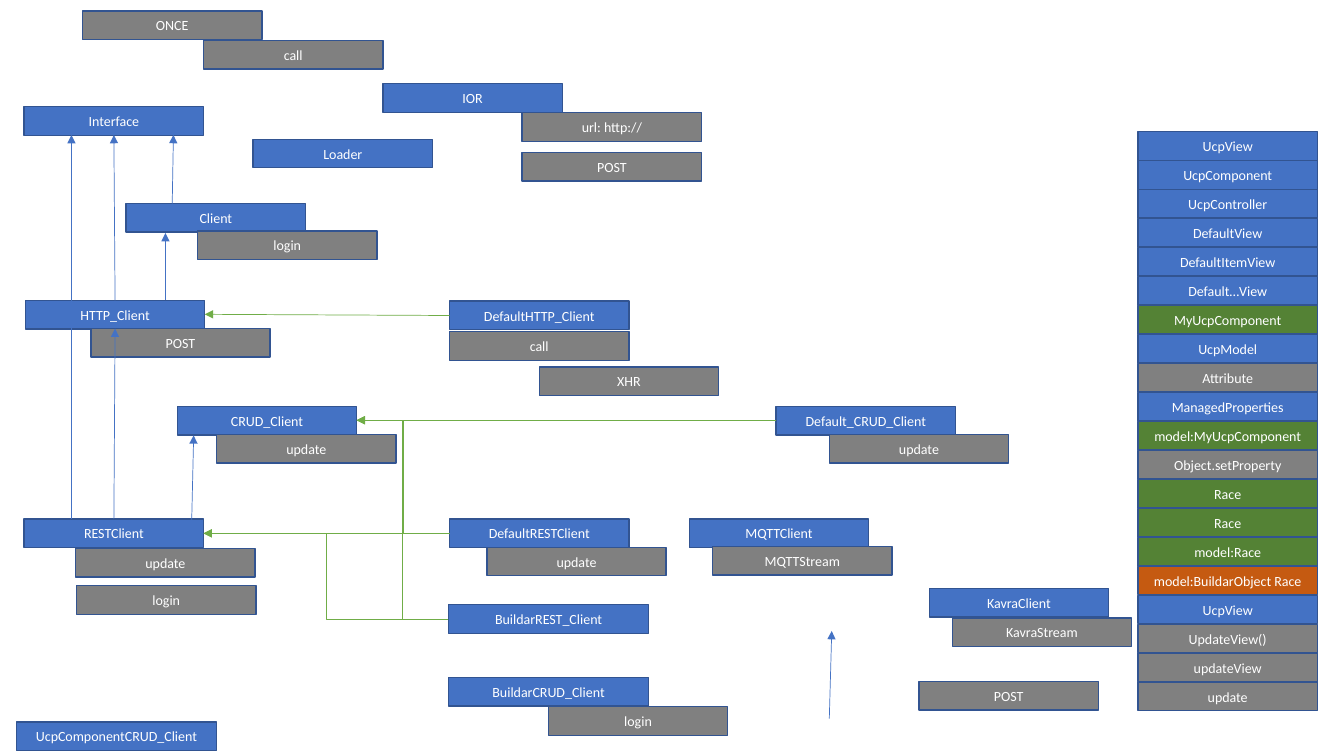
"""Build the class map of clients, their methods and the view component stack."""
from typing import NamedTuple

from lxml.etree import SubElement
from pptx import Presentation
from pptx.dml.color import RGBColor
from pptx.enum.shapes import MSO_CONNECTOR, MSO_SHAPE
from pptx.enum.text import MSO_ANCHOR, PP_ALIGN
from pptx.oxml.ns import qn
from pptx.util import Cm, Pt

BLUE = RGBColor(0x44, 0x72, 0xC4)
GRAY = RGBColor(0x80, 0x80, 0x80)
DARK_GREEN = RGBColor(0x54, 0x82, 0x35)
ORANGE = RGBColor(0xC5, 0x5A, 0x11)
GREEN = RGBColor(0x70, 0xAD, 0x47)
BORDER = RGBColor(0x32, 0x54, 0x91)
WHITE = RGBColor(0xFF, 0xFF, 0xFF)

BOX_W, WIDE_W, BOX_H = 4.52, 5.05, 0.72
STACK_X, STACK_Y, STACK_STEP = 28.68, 3.32, 0.73


class Box(NamedTuple):
    text: str
    x: float
    y: float
    fill: RGBColor = BLUE
    w: float = BOX_W


class Arrow(NamedTuple):
    x1: float
    y1: float
    x2: float
    y2: float
    color: RGBColor = BLUE
    kind: MSO_CONNECTOR = MSO_CONNECTOR.STRAIGHT


STACK = [
    ("UcpView", BLUE),
    ("UcpComponent", BLUE),
    ("UcpController", BLUE),
    ("DefaultView", BLUE),
    ("DefaultItemView", BLUE),
    ("Default…View", BLUE),
    ("MyUcpComponent", DARK_GREEN),
    ("UcpModel", BLUE),
    ("Attribute", GRAY),
    ("ManagedProperties", BLUE),
    ("model:MyUcpComponent", DARK_GREEN),
    ("Object.setProperty", GRAY),
    ("Race", DARK_GREEN),
    ("Race", DARK_GREEN),
    ("model:Race", DARK_GREEN),
    ("model:BuildarObject Race", ORANGE),
    ("UcpView", BLUE),
    ("UpdateView()", GRAY),
    ("updateView", GRAY),
    ("update", GRAY),
]

CLASSES = [
    Box("IOR", 9.65, 2.11),
    Box("Loader", 6.38, 3.51),
    Box("Interface", 0.61, 2.69),
    Box("Client", 3.18, 5.13),
    Box("HTTP_Client", 0.64, 7.57),
    Box("DefaultHTTP_Client", 11.33, 7.59),
    Box("CRUD_Client", 4.47, 10.24),
    Box("Default_CRUD_Client", 19.56, 10.24),
    Box("RESTClient", 0.61, 13.08),
    Box("DefaultRESTClient", 11.33, 13.08),
    Box("MQTTClient", 17.37, 13.08),
    Box("KavraClient", 23.42, 14.83),
    Box("BuildarREST_Client", 11.3, 15.24, w=WIDE_W),
    Box("BuildarCRUD_Client", 11.3, 17.07, w=WIDE_W),
    Box("UcpComponentCRUD_Client", 0.41, 18.19, w=WIDE_W),
]

MEMBERS = [
    Box("ONCE", 2.08, 0.28, GRAY),
    Box("call", 5.13, 1.02, GRAY),
    Box("url: http://", 13.16, 2.84, GRAY),
    Box("POST", 13.16, 3.84, GRAY),
    Box("login", 4.98, 5.82, GRAY),
    Box("POST", 2.29, 8.28, GRAY),
    Box("call", 11.33, 8.36, GRAY),
    Box("XHR", 13.59, 9.25, GRAY),
    Box("update", 5.46, 10.95, GRAY),
    Box("update", 20.9, 10.95, GRAY),
    Box("update", 1.91, 13.82, GRAY),
    Box("login", 1.93, 14.76, GRAY),
    Box("update", 12.27, 13.79, GRAY),
    Box("MQTTStream", 17.96, 13.77, GRAY),
    Box("KavraStream", 24.0, 15.57, GRAY),
    Box("POST", 23.16, 17.17, GRAY),
    Box("login", 13.82, 17.81, GRAY),
]

ARROWS = [
    Arrow(1.8, 13.08, 1.8, 3.4),
    Arrow(2.9, 7.57, 2.87, 3.4),
    Arrow(2.87, 13.08, 2.9, 8.28),
    Arrow(4.34, 5.13, 4.37, 3.4),
    Arrow(4.17, 7.57, 4.17, 5.87),
    Arrow(4.83, 13.16, 4.88, 10.97),
    Arrow(20.9, 18.11, 20.96, 15.9),
    Arrow(11.33, 7.95, 5.16, 7.92, GREEN),
    Arrow(19.56, 10.59, 8.99, 10.59, GREEN),
    Arrow(11.33, 13.44, 5.13, 13.44, GREEN),
    Arrow(11.3, 15.6, 5.13, 13.44, GREEN, MSO_CONNECTOR.ELBOW),
    Arrow(11.3, 15.6, 8.99, 10.59, GREEN, MSO_CONNECTOR.ELBOW),
    Arrow(11.33, 13.44, 8.99, 10.59, GREEN, MSO_CONNECTOR.ELBOW),
]


def draw_box(shapes, box: Box) -> None:
    sp = shapes.add_shape(MSO_SHAPE.RECTANGLE, Cm(box.x), Cm(box.y), Cm(box.w), Cm(BOX_H))
    sp.shadow.inherit = False
    sp.fill.solid()
    sp.fill.fore_color.rgb = box.fill
    sp.line.color.rgb = BORDER
    sp.line.width = Pt(1)
    tf = sp.text_frame
    tf.word_wrap = True
    tf.vertical_anchor = MSO_ANCHOR.MIDDLE
    p = tf.paragraphs[0]
    p.alignment = PP_ALIGN.CENTER
    r = p.add_run()
    r.text = box.text
    r.font.name = "Calibri"
    r.font.size = Pt(10)
    r.font.color.rgb = WHITE


def draw_arrow(shapes, arrow: Arrow) -> None:
    cxn = shapes.add_connector(
        arrow.kind, Cm(arrow.x1), Cm(arrow.y1), Cm(arrow.x2), Cm(arrow.y2)
    )
    cxn.line.color.rgb = arrow.color
    cxn.line.width = Pt(0.5)
    sp_pr = cxn._element.spPr
    SubElement(sp_pr.find(qn("a:ln")), qn("a:tailEnd"), type="triangle")
    SubElement(sp_pr, qn("a:effectLst"))


def main() -> None:
    prs = Presentation()
    prs.slide_width, prs.slide_height = Cm(33.87), Cm(19.05)
    s = prs.slides.add_slide(prs.slide_layouts[6])
    stack = [
        Box(text, STACK_X, STACK_Y + i * STACK_STEP, fill)
        for i, (text, fill) in enumerate(STACK)
    ]
    for box in stack + CLASSES + MEMBERS:
        draw_box(s.shapes, box)
    for arrow in ARROWS:
        draw_arrow(s.shapes, arrow)
    prs.save("out.pptx")


if __name__ == "__main__":
    main()
